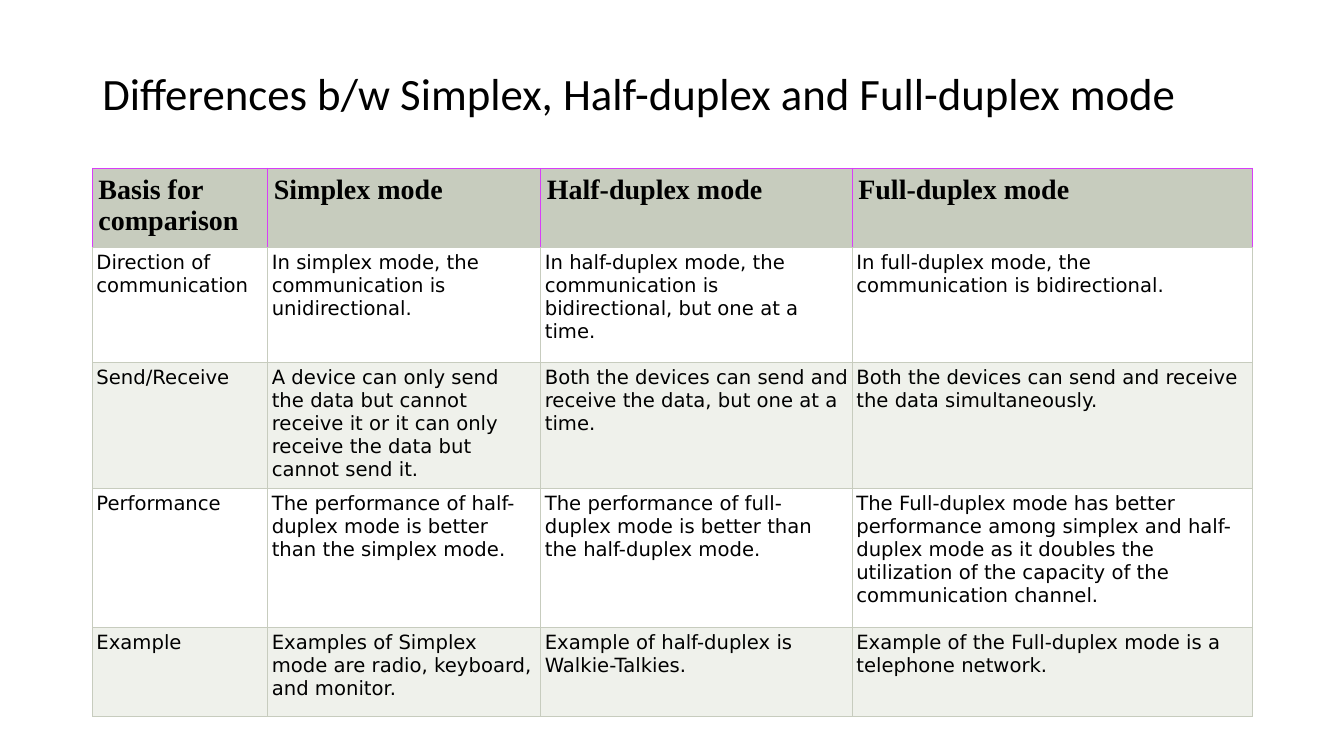
from lxml import etree
from pptx import Presentation
from pptx.dml.color import RGBColor
from pptx.enum.text import MSO_ANCHOR
from pptx.oxml.ns import qn
from pptx.util import Cm, Pt

MIDDLE = MSO_ANCHOR.MIDDLE

BLACK, WHITE = "000000", "FFFFFF"
SAGE, PALE_SAGE, MAGENTA = "C7CCBE", "EFF1EB", "D83DF7"

COLUMN_WIDTHS = [4.42, 6.88, 7.85, 10.08]
ROW_HEIGHTS = [1.98, 2.9, 3.1, 3.5, 2.24]
COMPARISON = [
    ["Basis for comparison", "Simplex mode", "Half-duplex mode", "Full-duplex mode"],
    ["Direction of communication",
     "In simplex mode, the communication is unidirectional.",
     "In half-duplex mode, the communication is bidirectional, but one at a time.",
     "In full-duplex mode, the communication is bidirectional."],
    ["Send/Receive",
     "A device can only send the data but cannot receive it or it can only "
     "receive the data but cannot send it.",
     "Both the devices can send and receive the data, but one at a time.",
     "Both the devices can send and receive the data simultaneously."],
    ["Performance",
     "The performance of half-duplex mode is better than the simplex mode.",
     "The performance of full-duplex mode is better than the half-duplex mode.",
     "The Full-duplex mode has better performance among simplex and half-duplex mode "
     "as it doubles the utilization of the capacity of the communication channel."],
    ["Example",
     "Examples of Simplex mode are radio, keyboard, and monitor.",
     "Example of half-duplex is Walkie-Talkies.",
     "Example of the Full-duplex mode is a telephone network."],
]


def color(value):
    return RGBColor.from_string(value)


def set_font(para, name, size, bold=False):
    font = para.font
    font.name, font.size, font.bold = name, Pt(size), bold
    font.color.rgb = color(BLACK)


def add_title(page, text):
    box = page.shapes.add_textbox(Cm(2.33), Cm(1.45), Cm(29.21), Cm(1.96))
    frame = box.text_frame
    frame.word_wrap = True
    frame.vertical_anchor = MIDDLE
    para = frame.paragraphs[0]
    para.text = text
    para.line_spacing = 0.9
    set_font(para, "Calibri", 32)


def set_borders(cell, sides, bottom):
    properties = cell._tc.get_or_add_tcPr()
    for tag, value in (("lnL", sides), ("lnR", sides), ("lnT", sides), ("lnB", bottom)):
        line = etree.SubElement(properties, qn("a:" + tag), w=str(Pt(0.75)))
        fill = etree.SubElement(line, qn("a:solidFill"))
        etree.SubElement(fill, qn("a:srgbClr"), val=value)


def style_cell(cell, text, row):
    header = row == 0
    inset = Cm(0.15 if header else 0.1)
    cell.margin_left = cell.margin_right = inset
    cell.margin_top = cell.margin_bottom = inset
    # Borders precede the fill in the cell properties
    set_borders(cell, MAGENTA if header else SAGE, SAGE)
    cell.fill.solid()
    body_fill = WHITE if row % 2 else PALE_SAGE
    cell.fill.fore_color.rgb = color(SAGE if header else body_fill)
    cell.text = text
    para = cell.text_frame.paragraphs[0]
    if header:
        set_font(para, "Times New Roman", 20, bold=True)
    else:
        set_font(para, "DejaVu Sans", 14)


def add_comparison(page):
    table = page.shapes.add_table(
        len(ROW_HEIGHTS), len(COLUMN_WIDTHS), Cm(2.33), Cm(4.24),
        Cm(sum(COLUMN_WIDTHS)), Cm(sum(ROW_HEIGHTS))).table
    for column, width in zip(table.columns, COLUMN_WIDTHS):
        column.width = Cm(width)
    for row, height in zip(table.rows, ROW_HEIGHTS):
        row.height = Cm(height)
    for row, texts in enumerate(COMPARISON):
        for column, text in enumerate(texts):
            style_cell(table.cell(row, column), text, row)


def main():
    deck = Presentation()
    deck.slide_width, deck.slide_height = Cm(33.87), Cm(19.05)
    page = deck.slides.add_slide(deck.slide_layouts[6])
    add_title(page, "Differences b/w Simplex, Half-duplex and Full-duplex mode")
    add_comparison(page)
    deck.save("out.pptx")


if __name__ == "__main__":
    main()
